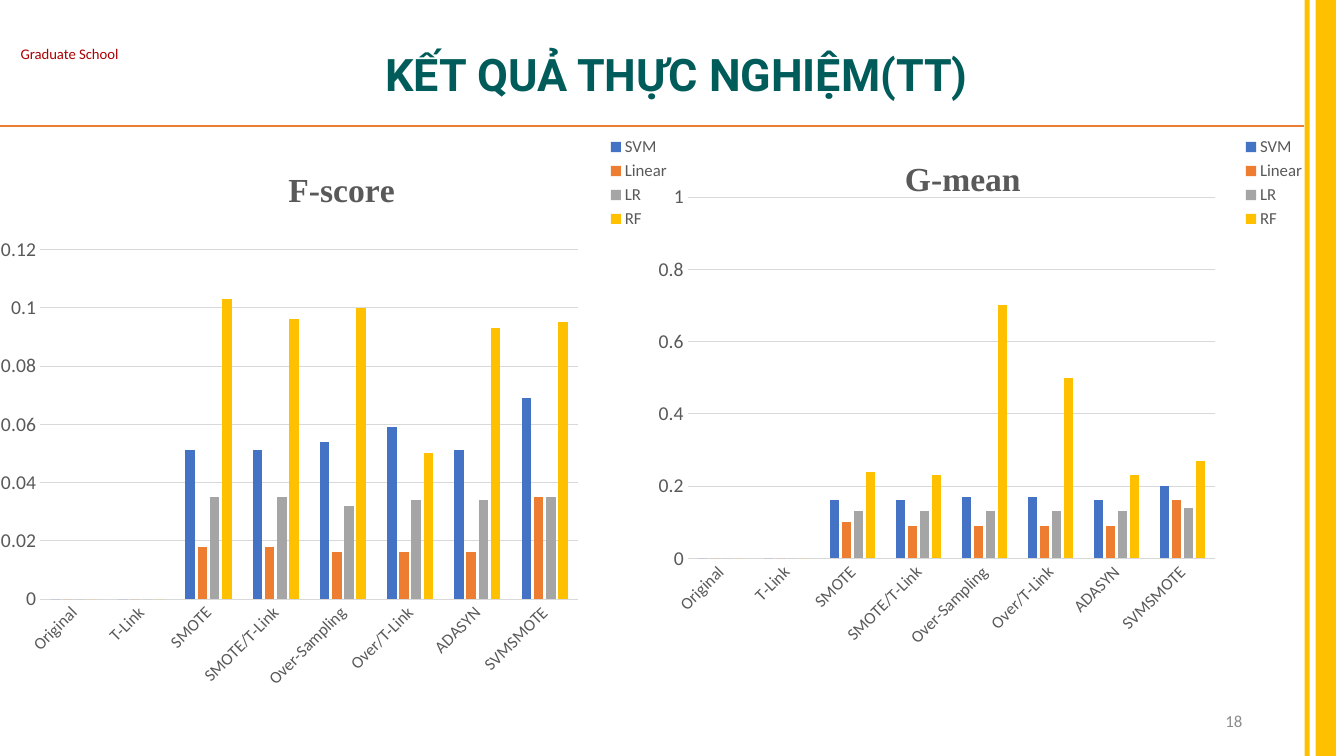
from lxml import etree
from pptx import Presentation
from pptx import util as u
from pptx.chart.data import CategoryChartData
from pptx.dml.color import RGBColor
from pptx.enum import chart as charts, shapes, text
from pptx.oxml import parse_xml
from pptx.oxml.ns import nsdecls, qn

WIDTH, HEIGHT = 13.33, 7.5
COLORS = {
    "title": "005C5A", "school": "AC0102", "number": "8C8C8C",
    "rule": "ED7D31", "stripe": "FFC000", "label": "595959", "grid": "D9D9D9",
}
SERIES_COLORS = {"SVM": "4472C4", "Linear": "ED7D31", "LR": "A5A5A5", "RF": "FFC000"}
METHODS = ["Original", "T-Link", "SMOTE", "SMOTE/T-Link", "Over-Sampling",
           "Over/T-Link", "ADASYN", "SVMSMOTE"]
F_SCORES = {
    "SVM": [0, 0, 0.051, 0.051, 0.054, 0.059, 0.051, 0.069],
    "Linear": [0, 0, 0.018, 0.018, 0.016, 0.016, 0.016, 0.035],
    "LR": [0, 0, 0.035, 0.035, 0.032, 0.034, 0.034, 0.035],
    "RF": [0, 0, 0.103, 0.096, 0.1, 0.05, 0.093, 0.095],
}
G_MEANS = {
    "SVM": [0, 0, 0.16, 0.16, 0.17, 0.17, 0.16, 0.2],
    "Linear": [0, 0, 0.1, 0.09, 0.09, 0.09, 0.09, 0.16],
    "LR": [0, 0, 0.13, 0.13, 0.13, 0.13, 0.13, 0.14],
    "RF": [0, 0, 0.24, 0.23, 0.7, 0.5, 0.23, 0.27],
}


def color(name):
    return RGBColor.from_string(COLORS[name])


def inches(box):
    return [u.Inches(length) for length in box]


def style_font(font, size, color_name, name="Calibri", bold=False):
    font.size, font.name, font.bold = u.Pt(size), name, bold
    font.color.rgb = color(color_name)


def write_line(shape, words, align, size, color_name, name="Calibri", bold=False):
    frame = shape.text_frame
    frame.text = words
    frame.word_wrap = True
    paragraph = frame.paragraphs[0]
    paragraph.alignment = align
    style_font(paragraph.runs[0].font, size, color_name, name, bold)
    return frame


# Rule under the header and stripes along the right edge
def add_frame(slide):
    rule = slide.shapes.add_connector(
        shapes.MSO_CONNECTOR.STRAIGHT, *inches((0, 1.25, 12.93, 1.25)))
    rule.line.color.rgb = color("rule")
    rule.line.width = u.Pt(1)
    etree.SubElement(rule._element.spPr, qn("a:effectLst"))
    for left, width in ((13.05, 0.2), (12.94, 0.05)):
        stripe = slide.shapes.add_shape(
            shapes.MSO_SHAPE.RECTANGLE, *inches((left, 0, width, HEIGHT)))
        stripe.shadow.inherit = False
        stripe.fill.solid()
        stripe.fill.fore_color.rgb = color("stripe")
        stripe.line.fill.background()


# School name, title and slide number
def add_header(slide, box):
    school = slide.shapes.add_textbox(*inches((0, box[1], 1.38, 0.28)))
    write_line(school, "Graduate School", text.PP_ALIGN.CENTER, 10.5, "school")

    title = slide.shapes.title
    title.left, title.top, title.width, title.height = inches(box)
    frame = write_line(title, "KẾT QUẢ THỰC NGHIỆM(TT)", text.PP_ALIGN.CENTER,
                       32, "title", "Roboto", True)
    frame.vertical_anchor = text.MSO_ANCHOR.MIDDLE
    frame.paragraphs[0].line_spacing = 0.9


def add_slide_number(slide, box):
    number = slide.shapes.add_textbox(*inches(box))
    frame = write_line(number, "18", text.PP_ALIGN.RIGHT, 12, "number")
    frame.vertical_anchor = text.MSO_ANCHOR.MIDDLE


def set_layout(parent, index, **shares):
    """Place a chart part by shares of the chart's size."""
    for old in parent.findall(qn("c:layout")):
        parent.remove(old)
    modes = '<c:xMode val="edge"/><c:yMode val="edge"/>'
    if "w" in shares:
        modes = '<c:layoutTarget val="inner"/>' + modes
    values = "".join(f'<c:{key} val="{share}"/>' for key, share in shares.items())
    parent.insert(index, parse_xml(
        f'<c:layout {nsdecls("c")}><c:manualLayout>{modes}{values}'
        '</c:manualLayout></c:layout>'))


def style_axes(chart):
    category, value = chart.category_axis, chart.value_axis
    for axis, size in ((category, 12), (value, 14)):
        axis.major_tick_mark = charts.XL_TICK_MARK.NONE
        axis.minor_tick_mark = charts.XL_TICK_MARK.NONE
        style_font(axis.tick_labels.font, size, "label")
    labels = category._element.find(qn("c:txPr")).find(qn("a:bodyPr"))
    labels.set("rot", "-2700000")
    labels.set("vert", "horz")
    value.has_major_gridlines = True
    value.format.line.fill.background()
    for line in (category.format.line, value.major_gridlines.format.line):
        line.color.rgb = color("grid")
        line.width = u.Pt(0.75)


# One clustered column chart with its title and legend
def add_score_chart(slide, box, name, scores, title_at, plot_at):
    data = CategoryChartData()
    data.categories = METHODS
    for model, values in scores.items():
        data.add_series(model, values)
    chart = slide.shapes.add_chart(
        charts.XL_CHART_TYPE.COLUMN_CLUSTERED, *inches(box), data).chart
    chart.font.name, chart.font.size = "Calibri", u.Pt(10)

    chart.has_title = True
    chart.chart_title.text_frame.text = name
    run = chart.chart_title.text_frame.paragraphs[0].runs[0]
    style_font(run.font, 24, "label", "Times New Roman", True)
    set_layout(chart.chart_title._element, 1, **dict(zip("xy", title_at)))

    chart.has_legend = True
    chart.legend.position = charts.XL_LEGEND_POSITION.CORNER
    chart.legend.include_in_layout = False
    style_font(chart.legend.font, 12, "label")

    plot = chart.plots[0]
    plot.gap_width, plot.overlap = 219, -27
    plot.vary_by_categories = False
    for series in plot.series:
        series.format.fill.solid()
        series.format.fill.fore_color.rgb = RGBColor.from_string(SERIES_COLORS[series.name])
    style_axes(chart)
    plot_area = chart._chartSpace.chart.plotArea
    set_layout(plot_area, 0, **dict(zip("xywh", plot_at)))
    return chart


def main():
    presentation = Presentation()
    presentation.slide_width, presentation.slide_height = inches((WIDTH, HEIGHT))
    slide = presentation.slides.add_slide(presentation.slide_layouts[5])

    add_frame(slide)
    add_header(slide, (1.01, 0.4, 11.41, 0.72))
    add_slide_number(slide, (9.42, 6.95, 3, 0.4))
    add_score_chart(slide, (0, 1.32, 6.67, 5.78), "F-score", F_SCORES,
                    (0.42, 0.05), (0.06, 0.2, 0.8, 0.6))
    g_mean = add_score_chart(slide, (6.43, 1.32, 6.54, 5.78), "G-mean", G_MEANS,
                             (0.38, 0.03), (0.06, 0.11, 0.8, 0.62))
    g_mean.value_axis.maximum_scale = 1
    g_mean.value_axis.major_unit = 0.2

    presentation.save("out.pptx")


if __name__ == "__main__":
    main()
